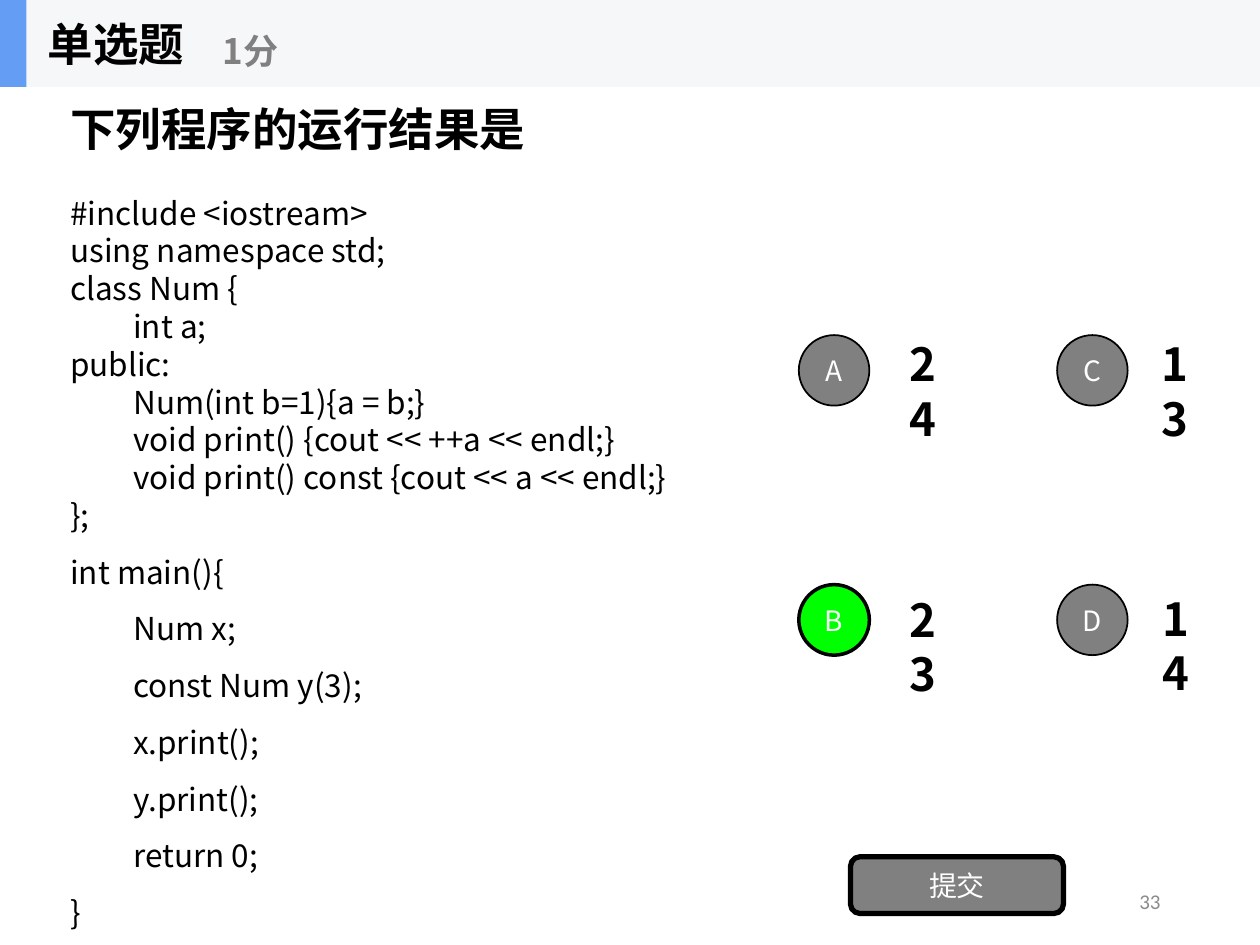
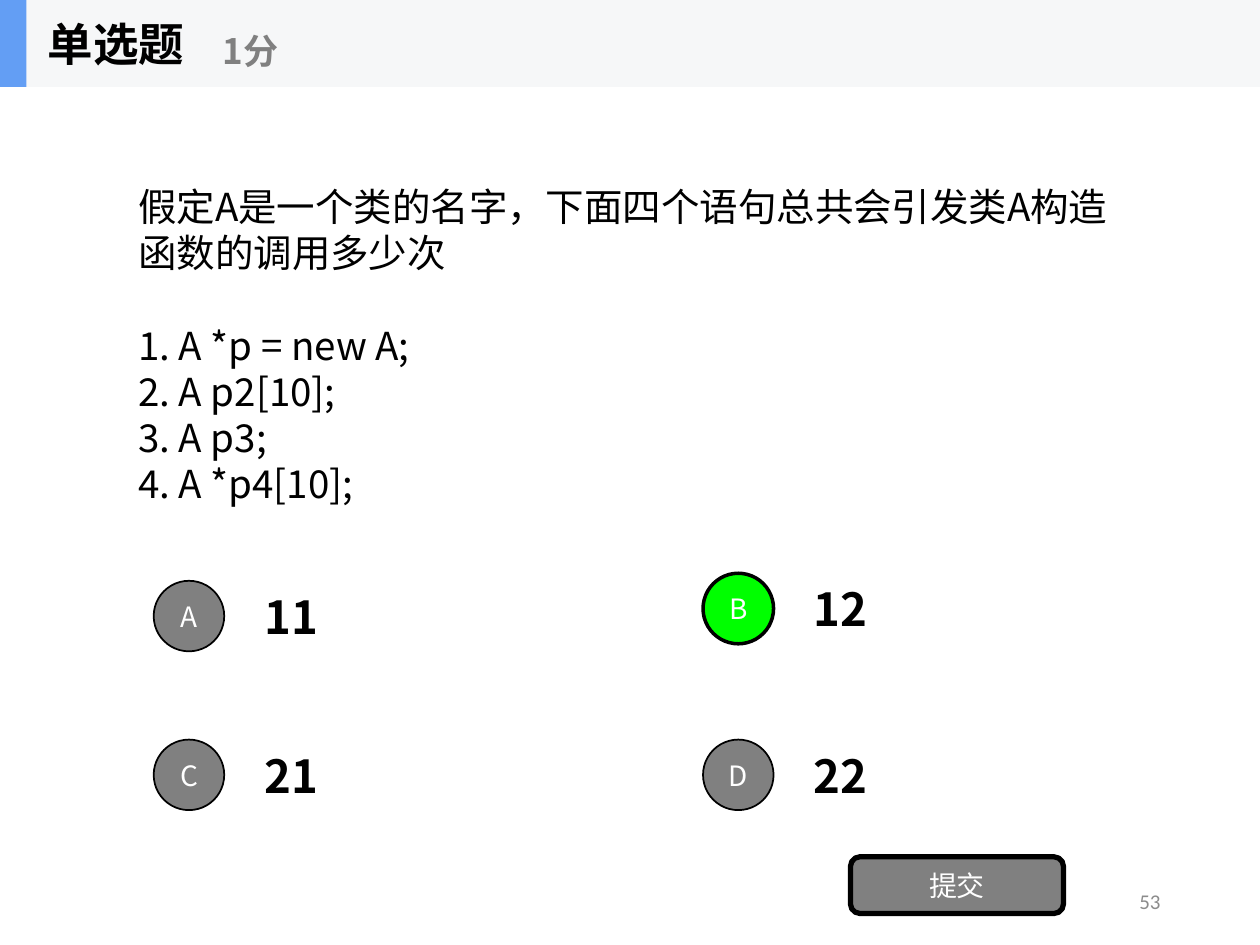
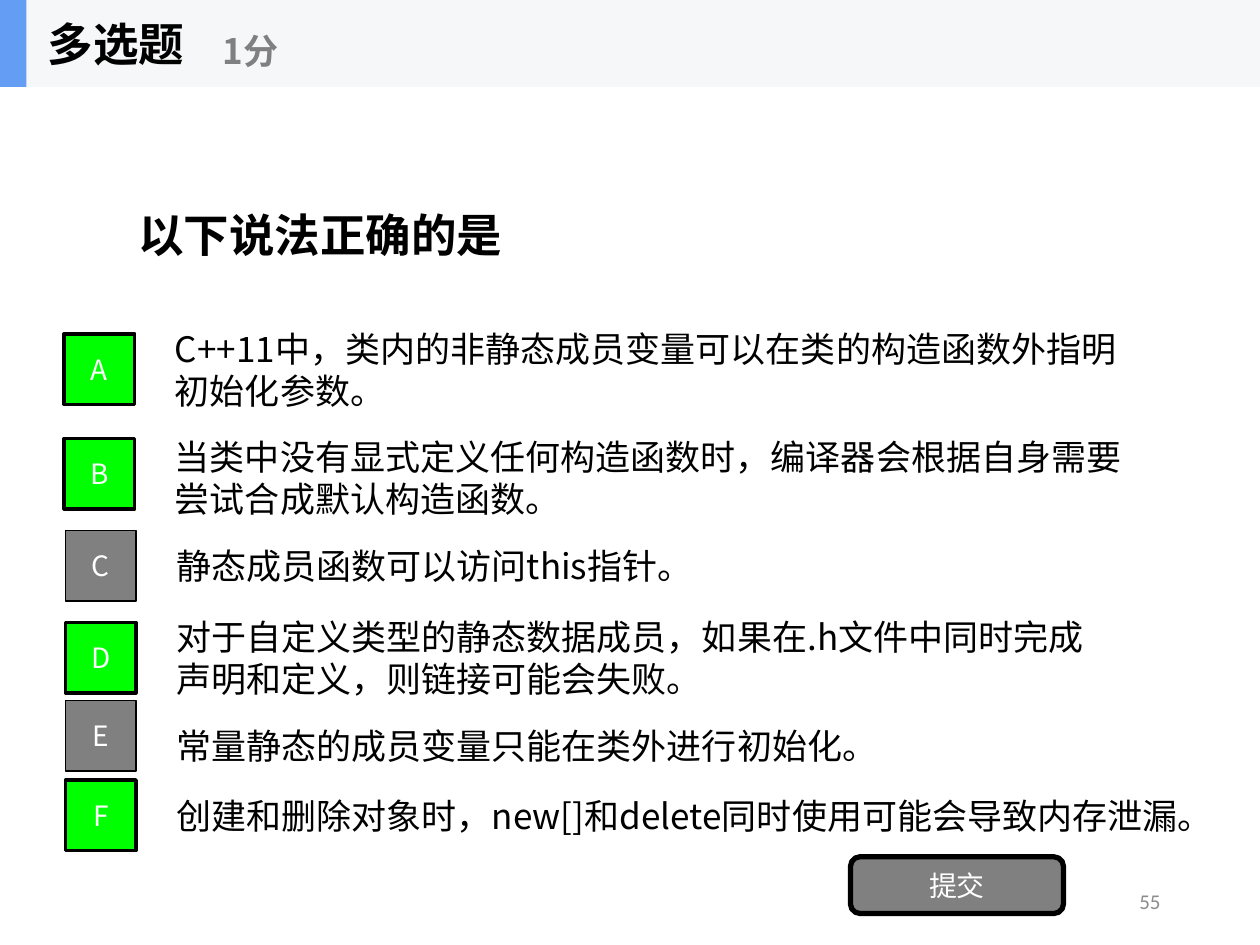
from dataclasses import dataclass

from lxml.etree import SubElement
from pptx import Presentation
from pptx.dml.color import RGBColor
from pptx.enum.shapes import MSO_SHAPE
from pptx.enum.text import MSO_ANCHOR, MSO_AUTO_SIZE, PP_ALIGN
from pptx.oxml.ns import qn
from pptx.util import Inches, Pt


@dataclass(frozen=True)
class Theme:
    """Colours, fonts and type sizes shared by the slides."""
    font: str = "Noto Sans CJK SC"
    number_font: str = "Calibri"
    text: str = "000000"
    light: str = "FFFFFF"
    gray: str = "808080"
    number: str = "8C8C8C"
    band: str = "F6F7F8"
    accent: str = "639EF4"
    correct: str = "00FF00"
    heading: int = 26
    question: int = 22
    statement: int = 20
    code: int = 18
    label: int = 16
    small: int = 12
    leading: float = 1.2


@dataclass(frozen=True)
class Option:
    """One answer: its marker, its text and the offset between them."""
    label: str
    text: str
    x: float
    y: float
    correct: bool = False
    dx: float = 0.78
    dy: float = -0.07


T = Theme()
MARKER = 0.56

CLASS_CODE = """#include <iostream>
using namespace std;
class Num {
\tint a;
public:
\tNum(int b=1){a = b;}
\tvoid print() {cout << ++a << endl;}
\tvoid print() const {cout << a << endl;}
};"""

MAIN_CODE = """int main(){
\tNum x;
\tconst Num y(3);
\tx.print();
\ty.print();
\treturn 0;
}"""

STATEMENTS = ["1. A *p = new A;", "2. A p2[10];", "3. A p3;", "4. A *p4[10];"]

OUTPUT_OPTIONS = [
    Option("A", "2\n4", 6.34, 2.66, dy=0.09),
    Option("B", "2\n3", 6.34, 4.64, True, dy=0.14),
    Option("C", "1\n3", 8.39, 2.66, dx=0.73, dy=0.09),
    Option("D", "1\n4", 8.39, 4.64, dx=0.74, dy=0.13),
]

COUNT_OPTIONS = [
    Option("A", "11", 1.22, 4.61),
    Option("B", "12", 5.58, 4.55, True),
    Option("C", "21", 1.22, 5.87),
    Option("D", "22", 5.58, 5.87),
]

CLASS_OPTIONS = [
    Option("A", "C++11中，类内的非静态成员变量可以在类的构造函数外指明\n初始化参数。",
           0.51, 2.65, True),
    Option("B", "当类中没有显式定义任何构造函数时，编译器会根据自身需要\n尝试合成默认构造函数。",
           0.51, 3.48, True, dy=-0.04),
    Option("C", "静态成员函数可以访问this指针。", 0.52, 4.21),
    Option("D", "对于自定义类型的静态数据成员，如果在.h文件中同时完成\n声明和定义，则链接可能会失败。",
           0.52, 4.94, True),
    Option("E", "常量静态的成员变量只能在类外进行初始化。", 0.52, 5.56, dy=0.01),
    Option("F", "创建和删除对象时，new[]和delete同时使用可能会导致内存泄漏。",
           0.52, 6.19, True),
]


def rgb(color):
    """Return a colour object for a hex string."""
    return RGBColor.from_string(color)


def format_paragraph(p, text, size, color=T.text, bold=False, align=PP_ALIGN.LEFT,
                     font=T.font, lines=1, before=0):
    """Fill a paragraph and set its type; a leading tab becomes an indent."""
    p.text = text.lstrip("\t")
    p.alignment = align
    p.line_spacing = Pt(size * T.leading * lines)
    p.space_before = Pt(before)
    p.font.size = Pt(size)
    p.font.bold = bold
    p.font.color.rgb = rgb(color)
    p.font.name = font
    pPr = p._p.get_or_add_pPr()
    if text.startswith("\t"):
        pPr.set("marL", str(Inches(0.5)))
        pPr.set("indent", "0")
    SubElement(pPr.find(qn("a:defRPr")), qn("a:ea"), typeface=font)


def add_paragraphs(tf, texts, size, before=0, **style):
    """Write paragraphs of one style, with a gap before the first."""
    for i, text in enumerate(texts):
        p = tf.paragraphs[0] if not tf.text else tf.add_paragraph()
        format_paragraph(p, text, size, before=0 if i else before, **style)


def format_frame(tf, wrap=True):
    """Centre a text frame vertically and fix its size."""
    tf.auto_size = MSO_AUTO_SIZE.NONE
    tf.vertical_anchor = MSO_ANCHOR.MIDDLE
    tf.word_wrap = wrap


def add_text(s, box, texts, size, wrap=True, **style):
    """Add a text box and return its frame."""
    tf = s.shapes.add_textbox(*map(Inches, box)).text_frame
    format_frame(tf, wrap)
    add_paragraphs(tf, texts, size, **style)
    return tf


def add_shape(s, kind, box, fill, line=0, text=""):
    """Add a filled shape with an optional outline and label."""
    sp = s.shapes.add_shape(kind, *map(Inches, box))
    sp.shadow.inherit = False
    sp.fill.solid()
    sp.fill.fore_color.rgb = rgb(fill)
    if line:
        sp.line.color.rgb = rgb(T.text)
        sp.line.width = Pt(line)
    else:
        sp.line.fill.background()
    if text:
        format_frame(sp.text_frame)
        add_paragraphs(sp.text_frame, [text], T.label, color=T.light, align=PP_ALIGN.CENTER)


def add_options(s, options, kind, width, size, bold=False):
    """Add the markers and texts of all answers."""
    for o in options:
        add_text(s, (o.x + o.dx, o.y + o.dy, width, 0.7), o.text.split("\n") if bold else [o.text],
                 size, wrap=False, bold=bold)
        add_shape(s, kind, (o.x, o.y, MARKER, MARKER), T.correct if o.correct else T.gray,
                  2 if o.correct else 1, o.label)


def add_quiz_slide(prs, title, number):
    """Add a slide with the header band, score, submit button and number."""
    s = prs.slides.add_slide(prs.slide_layouts[5])
    add_shape(s, MSO_SHAPE.RECTANGLE, (0, 0, 10, 0.69), T.band)
    add_shape(s, MSO_SHAPE.RECTANGLE, (0, 0, 0.21, 0.69), T.accent)
    sp = s.shapes.title
    sp.element.getparent().append(sp.element)
    sp.left, sp.top, sp.width, sp.height = map(Inches, (0.28, 0, 2.08, 0.69))
    format_frame(sp.text_frame, wrap=False)
    add_paragraphs(sp.text_frame, [title], T.heading, bold=True)
    add_text(s, (1.67, 0.12, 2.5, 0.56), ["1分"], T.statement, wrap=False,
             color=T.gray, bold=True)
    add_shape(s, MSO_SHAPE.ROUNDED_RECTANGLE, (6.75, 6.8, 1.69, 0.45), T.gray, 3, "提交")
    add_text(s, (7.06, 6.95, 2.25, 0.4), [str(number)], T.small, color=T.number,
             font=T.number_font, align=PP_ALIGN.RIGHT)
    return s


def add_output_slide(prs):
    """Ask for the output of a program."""
    s = add_quiz_slide(prs, "单选题", 33)
    tf = add_text(s, (0.46, 0.82, 8, 6.55), ["下列程序的运行结果是"], T.heading, bold=True)
    add_paragraphs(tf, CLASS_CODE.split("\n"), T.code, before=T.code * T.leading)
    add_paragraphs(tf, MAIN_CODE.split("\n"), T.code, lines=1.5)
    add_options(s, OUTPUT_OPTIONS, MSO_SHAPE.OVAL, 0.8, T.heading, bold=True)


def add_count_slide(prs):
    """Ask for the number of constructor calls."""
    s = add_quiz_slide(prs, "单选题", 53)
    question = "假定A是一个类的名字，下面四个语句总共会引发类A构造函数的调用多少次"
    tf = add_text(s, (1, 0.84, 8, 3.79), [question], T.question)
    add_paragraphs(tf, STATEMENTS, T.question, before=T.question * T.leading)
    add_options(s, COUNT_OPTIONS, MSO_SHAPE.OVAL, 2, T.heading, bold=True)


def add_class_slide(prs):
    """Ask which statements about classes hold."""
    s = add_quiz_slide(prs, "多选题", 55)
    add_text(s, (1, 0.69, 8, 2.34), ["以下说法正确的是"], T.heading, bold=True)
    add_options(s, CLASS_OPTIONS, MSO_SHAPE.RECTANGLE, 8.6, T.statement)


def main():
    """Build the deck and save it."""
    prs = Presentation()
    prs.slide_width, prs.slide_height = Inches(10), Inches(7.5)
    add_output_slide(prs)
    add_count_slide(prs)
    add_class_slide(prs)
    prs.save("out.pptx")


if __name__ == "__main__":
    main()
